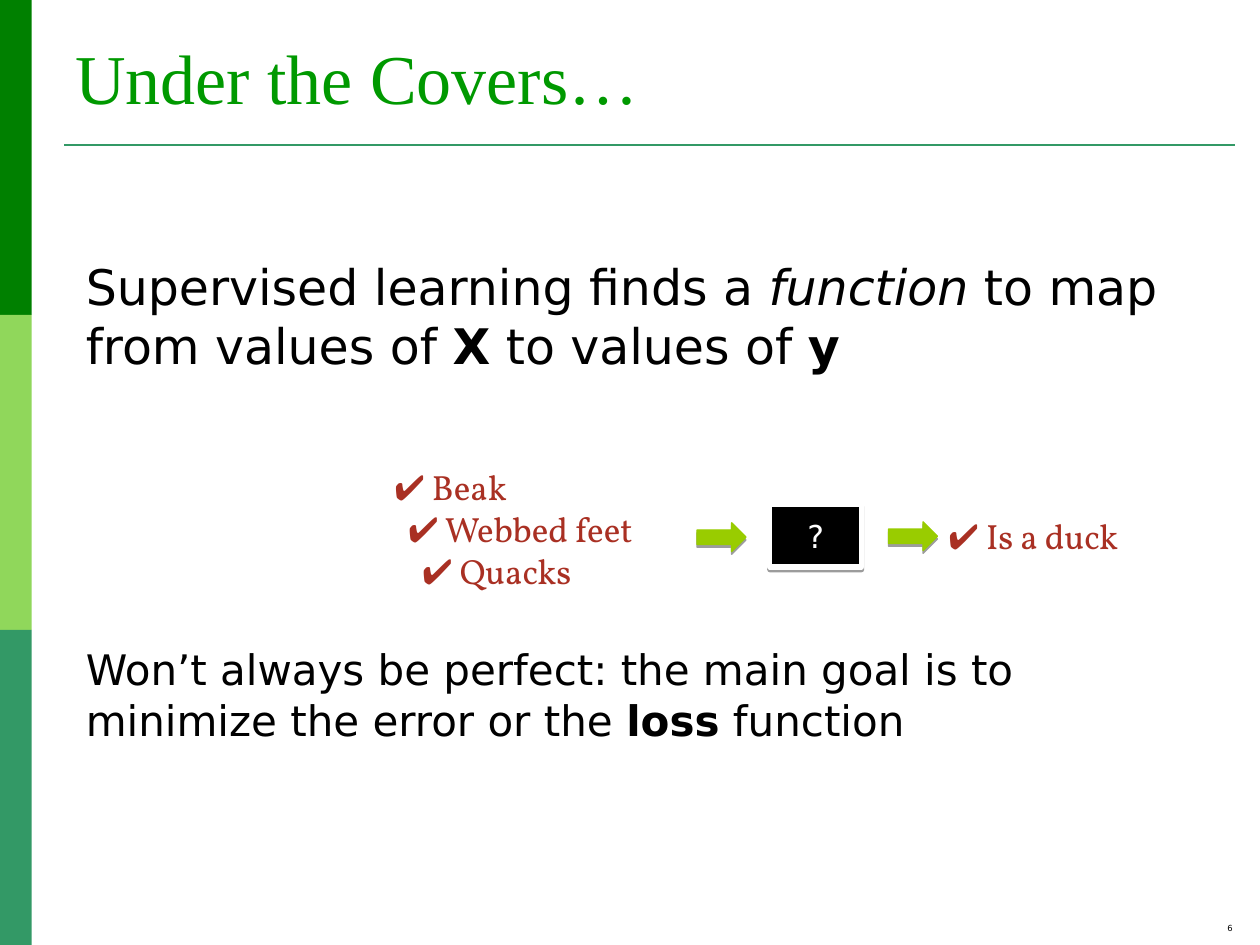
"""Build the "Under the Covers…" slide on supervised learning."""
from dataclasses import dataclass

from lxml import etree
from pptx import Presentation
from pptx import util as u
from pptx.dml.color import RGBColor
from pptx.enum import shapes, text
from pptx.oxml.ns import qn


@dataclass(frozen=True)
class Theme:
    title: tuple = ("Times New Roman", 40, "009900")
    lead: tuple = ("DejaVu Sans", 28, "000000")
    closing: tuple = ("DejaVu Sans", 24, "000000")
    feature: tuple = ("Vollkorn", 20, "A93023")
    unknown: tuple = ("DejaVu Sans", 18, "FFFFFF")
    number: tuple = ("DejaVu Sans", 4.8, "000000")
    bars: tuple = ("008000", "90D75B", "339966")
    rule: str = "339966"
    black: str = "000000"
    white: str = "FFFFFF"
    arrow: str = "99CC00"
    arrow_line: str = "98CC00"


theme = Theme()


def write(para, style, *spans, align=text.PP_ALIGN.LEFT, indent=0):
    name, size, color = style
    para._p.get_or_add_pPr().set("marL", str(u.Cm(indent)))
    para.alignment = align
    para.font.name, para.font.size = name, u.Pt(size)
    para.font.color.rgb = RGBColor.from_string(color)
    for words, emphasis in spans:
        span = para.add_run()
        span.text = words
        if emphasis:
            setattr(span.font, emphasis, True)


def add_block(kind, place, fill, line=None, weight=0, shadow=False):
    block = page.shapes.add_shape(kind, *map(u.Cm, place))
    block.shadow.inherit = False
    block.fill.solid()
    block.fill.fore_color.rgb = RGBColor.from_string(fill)
    if line:
        block.line.color.rgb = RGBColor.from_string(line)
        block.line.width = u.Pt(weight)
    else:
        block.line.fill.background()
    if shadow:
        effects = block._element.spPr.find(qn("a:effectLst"))
        outer = etree.SubElement(effects, qn("a:outerShdw"), blurRad="0",
                                 dist=str(u.Pt(1.6)), dir="5400000", rotWithShape="0")
        tint = etree.SubElement(outer, qn("a:srgbClr"), val=theme.black)
        etree.SubElement(tint, qn("a:alpha"), val="38000")
    return block


deck = Presentation()
deck.slide_width, deck.slide_height = u.Cm(25.4), u.Cm(19.05)
page = deck.slides.add_slide(deck.slide_layouts[6])

bar_height = 6.35
for row, color in enumerate(theme.bars):
    add_block(shapes.MSO_SHAPE.RECTANGLE, (0, row * bar_height, 0.64, bar_height), color)

rule = page.shapes.add_connector(shapes.MSO_CONNECTOR.STRAIGHT,
                                 u.Cm(1.3), u.Cm(2.92), u.Cm(24.89), u.Cm(2.92))
rule.line.color.rgb = RGBColor.from_string(theme.rule)
rule.line.width = u.Pt(1.5)
etree.SubElement(rule._element.spPr, qn("a:effectLst"))

title = page.shapes.add_textbox(u.Cm(1.27), u.Cm(0.76), u.Cm(23.62), u.Cm(1.75)).text_frame
title.word_wrap = True
title.vertical_anchor = text.MSO_ANCHOR.BOTTOM
write(title.paragraphs[0], theme.title, ("Under the Covers…", None))

body = page.shapes.add_textbox(u.Cm(1.3), u.Cm(5.05), u.Cm(22.66), u.Cm(10.44)).text_frame
body.word_wrap = True
write(body.paragraphs[0], theme.lead,
      ("Supervised learning finds a ", None), ("function", "italic"),
      (" to map from values of ", None), ("X", "bold"),
      (" to values of ", None), ("y", "bold"), indent=0.18)
closing = body.add_paragraph()
write(closing, theme.closing,
      ("Won’t always be perfect: the main goal is to minimize the error or the ", None),
      ("loss", "bold"), (" function", None), indent=0.18)
closing.space_before = u.Pt(154)

number = page.shapes.add_textbox(u.Cm(19.18), u.Cm(18.49), u.Cm(5.92), u.Cm(0.51)).text_frame
number.word_wrap = True
write(number.paragraphs[0], theme.number, ("6", None), align=text.PP_ALIGN.RIGHT)

features = page.shapes.add_textbox(u.Cm(7.7), u.Cm(9.25), u.Cm(5.92), u.Cm(2.79)).text_frame
features.word_wrap = False
for step, feature in enumerate(("Beak", "Webbed feet", "Quacks")):
    para = features.add_paragraph() if step else features.paragraphs[0]
    write(para, theme.feature, (f"✔ {feature}", None), indent=step * 0.28)

label = page.shapes.add_textbox(u.Cm(18.87), u.Cm(10.24), u.Cm(4.29), u.Cm(1.12)).text_frame
label.word_wrap = False
write(label.paragraphs[0], theme.feature, ("✔ Is a duck", None))

black_box = add_block(shapes.MSO_SHAPE.RECTANGLE, (15.52, 10.16, 1.85, 1.27),
                      theme.black, theme.white, 3, shadow=True)
black_box.text_frame.vertical_anchor = text.MSO_ANCHOR.MIDDLE
write(black_box.text_frame.paragraphs[0], theme.unknown, ("?", None),
      align=text.PP_ALIGN.CENTER)

for left, top in ((14.05, 10.54), (17.91, 10.52)):
    add_block(shapes.MSO_SHAPE.RIGHT_ARROW, (left, top, 0.99, 0.58),
              theme.arrow, theme.arrow_line, 0.75, shadow=True)

deck.save("out.pptx")
